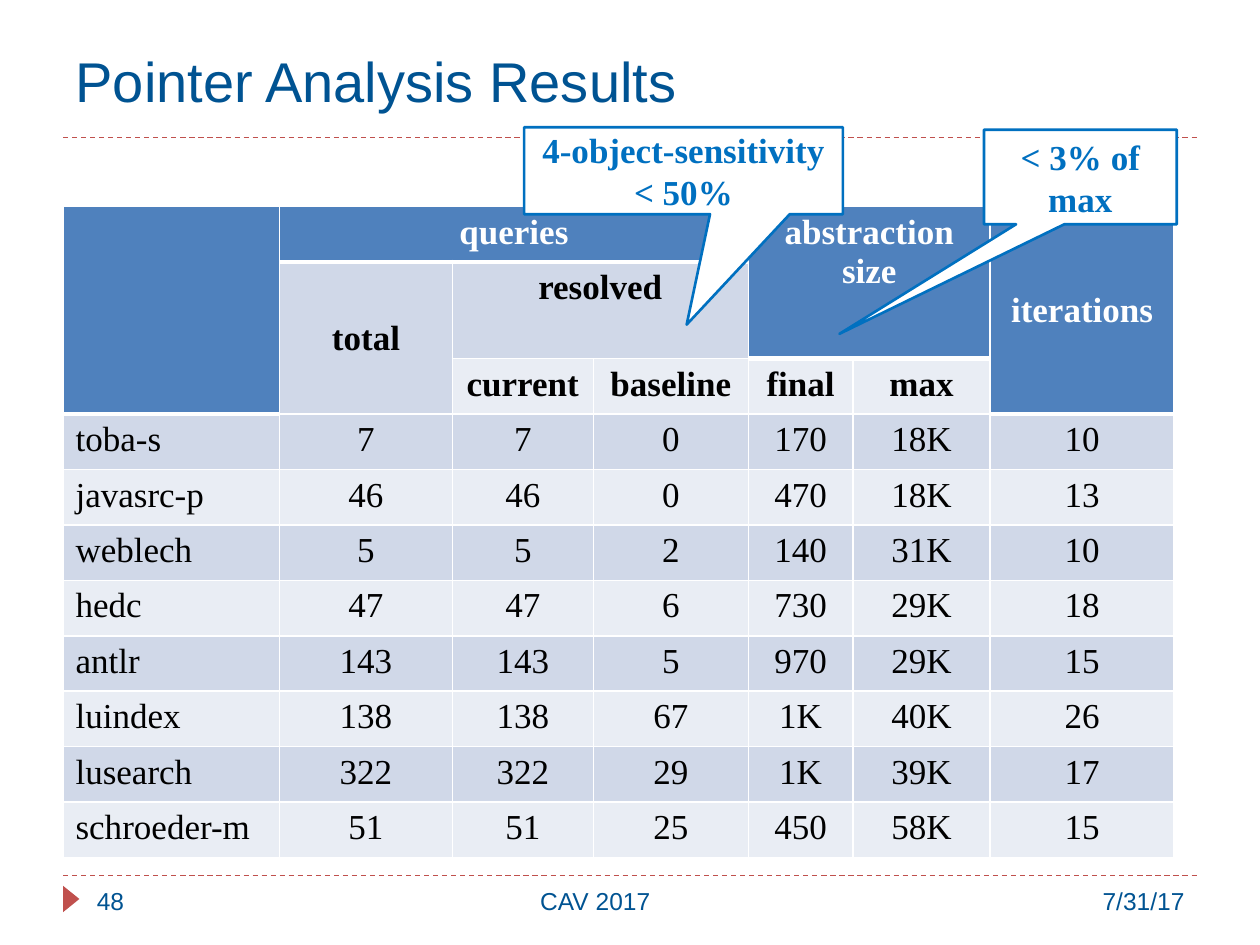
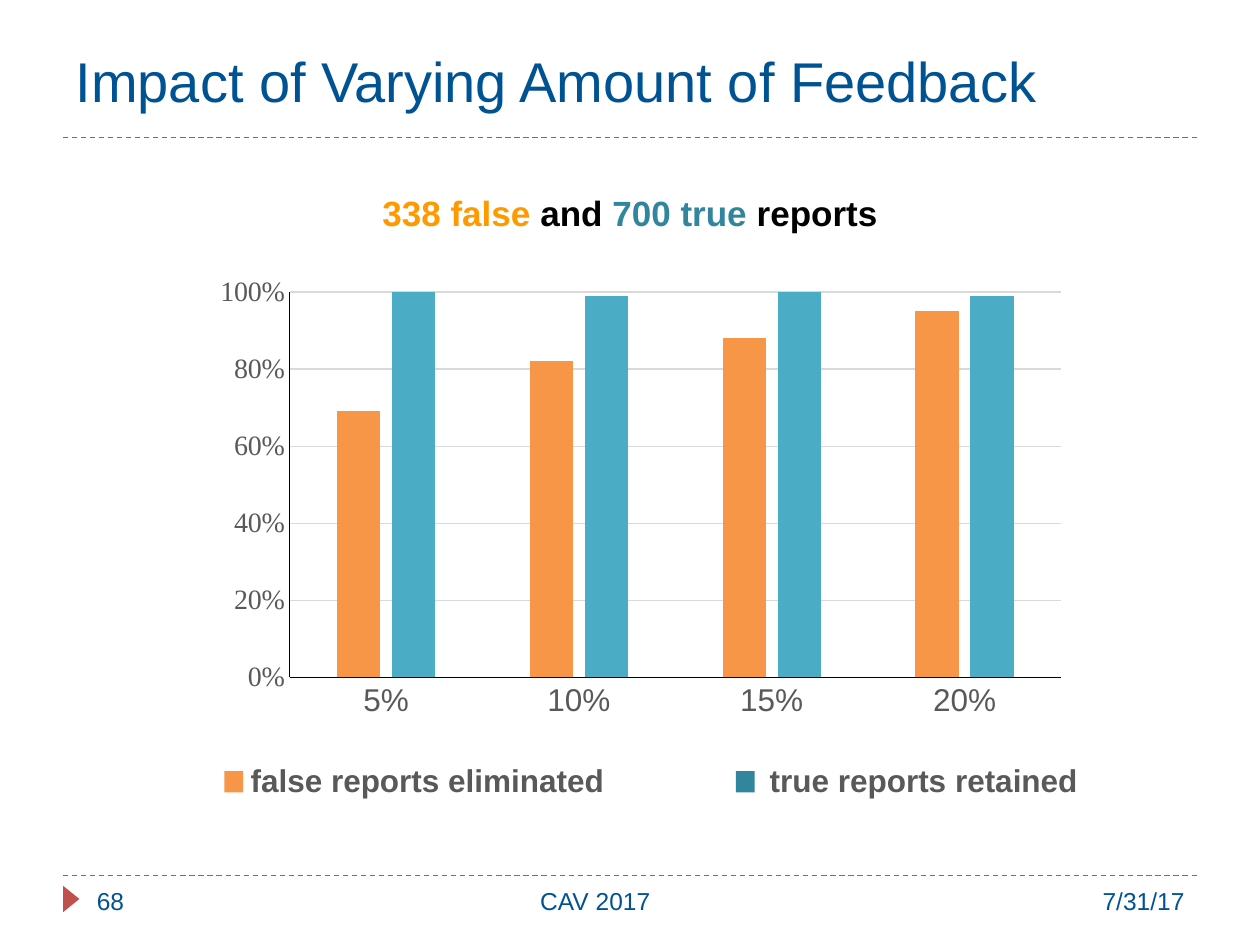
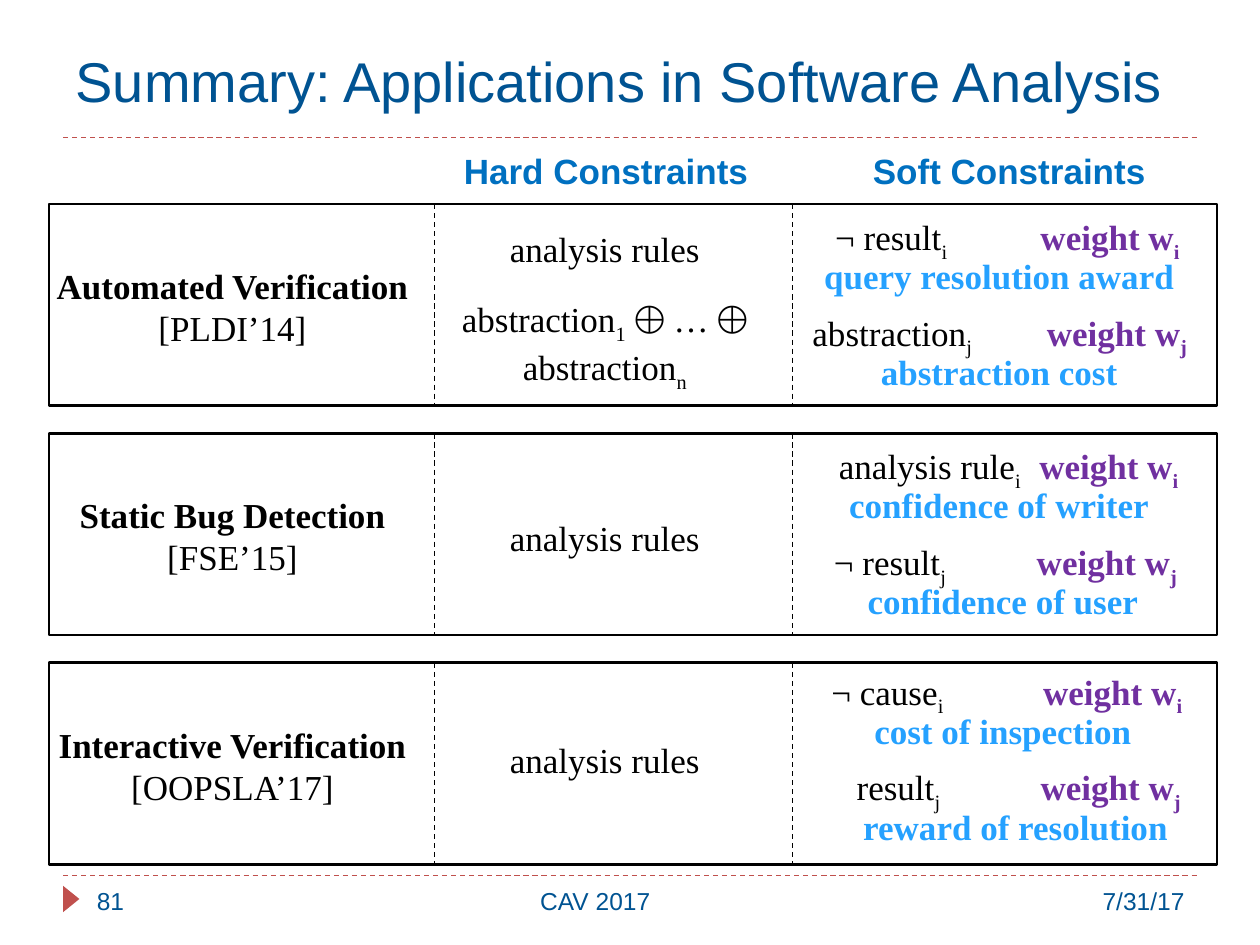
from collections import namedtuple

from lxml import etree
from pptx import Presentation
from pptx.chart.data import CategoryChartData
from pptx.dml.color import RGBColor
from pptx.enum.chart import XL_CHART_TYPE, XL_TICK_MARK
from pptx.enum.dml import MSO_LINE
from pptx.enum.shapes import MSO_CONNECTOR, MSO_SHAPE
from pptx.enum.text import MSO_ANCHOR, MSO_AUTO_SIZE, PP_ALIGN
from pptx.oxml.ns import qn
from pptx.util import Inches, Pt

SANS, SERIF = "Arial", "Times New Roman"
BLACK = RGBColor(0x00, 0x00, 0x00)
WHITE = RGBColor(0xFF, 0xFF, 0xFF)
NAVY = RGBColor(0x00, 0x53, 0x92)
RED = RGBColor(0xC0, 0x50, 0x4D)
BLUE = RGBColor(0x00, 0x70, 0xC0)
SKY = RGBColor(0x25, 0xA1, 0xFF)
PURPLE = RGBColor(0x70, 0x30, 0xA0)
HEADER_BLUE = RGBColor(0x4F, 0x81, 0xBD)
BAND_DARK = RGBColor(0xD0, 0xD8, 0xE8)
BAND_LIGHT = RGBColor(0xE9, 0xED, 0xF4)
GRAY = RGBColor(0x59, 0x59, 0x59)
GRID_GRAY = RGBColor(0xD9, 0xD9, 0xD9)
ORANGE = RGBColor(0xF7, 0x96, 0x46)
AMBER = RGBColor(0xFF, 0x99, 0x00)
AQUA = RGBColor(0x4B, 0xAC, 0xC6)
TEAL = RGBColor(0x31, 0x85, 0x9C)

LEFT, CENTER, RIGHT = PP_ALIGN.LEFT, PP_ALIGN.CENTER, PP_ALIGN.RIGHT


# ---------- shared parts ----------

def inches(box):
    return [Inches(v) for v in box]


def add_run(p, text, size=20, color=BLACK, bold=False, font=SERIF, subscript=False):
    r = p.add_run()
    r.text = text
    r.font.size, r.font.bold, r.font.name = Pt(size), bold, font
    r.font.color.rgb = color
    if subscript:
        r.font._element.set("baseline", "-25000")


def add_text_box(slide, box, align=LEFT):
    """Add a wrapping text box and return its text frame."""
    tf = slide.shapes.add_textbox(*inches(box)).text_frame
    tf.word_wrap = True
    tf.paragraphs[0].alignment = align
    return tf


def add_label(slide, box, text, align=LEFT, **style):
    add_run(add_text_box(slide, box, align).paragraphs[0], text, **style)


def add_box(slide, shape_type, box, fill, line=None):
    sp = slide.shapes.add_shape(shape_type, *inches(box))
    sp.shadow.inherit = False
    sp.fill.solid()
    sp.fill.fore_color.rgb = fill
    if line is None:
        sp.line.fill.background()
    else:
        sp.line.color.rgb = line
        sp.line.width = Pt(1.5)
    return sp


def add_dashed_line(slide, x1, y1, x2, y2, color):
    line = slide.shapes.add_connector(MSO_CONNECTOR.STRAIGHT, *inches((x1, y1, x2, y2)))
    line.line.color.rgb = color
    line.line.width = Pt(0.75)
    line.line.dash_style = MSO_LINE.DASH
    etree.SubElement(line.element.spPr, qn("a:effectLst"))
    return line


def decorate_layout(layout, slide):
    """Place the title box, rules and page marker on the layout, drawn by way of a slide."""
    title = layout.placeholders[0]
    title.left, title.top, title.width, title.height = inches((0.5, 0.17, 9, 0.93))
    marker = add_box(slide, MSO_SHAPE.ISOSCELES_TRIANGLE, (0.46, 7.07, 0.21, 0.13), RED)
    marker.rotation = 90
    rules = [add_dashed_line(slide, 0.5, y, 9.5, y, RED) for y in (6.95, 1.09)]
    for sp in (*rules, marker):
        layout.shapes.element.append(sp.element)


def fill_frame(slide, title, number):
    """Write the title and the three footer texts."""
    tf = slide.shapes.title.text_frame
    tf.auto_size = MSO_AUTO_SIZE.NONE
    tf.vertical_anchor = MSO_ANCHOR.MIDDLE
    tf.paragraphs[0].alignment = LEFT
    add_run(tf.paragraphs[0], title, 32, NAVY, font=SANS)
    for left, width, text, align in ((0.67, 0.89, number, LEFT),
                                     (1.56, 6.33, "CAV 2017", CENTER),
                                     (7, 2.5, "7/31/17", RIGHT)):
        add_label(slide, (left, 6.98, width, 0.4), text, align,
                  size=14, color=NAVY, font=SANS)


# ---------- pointer analysis results ----------

COLUMN_WIDTHS = (1.72, 1.37, 1.12, 1.23, 0.83, 1.09, 1.46)
ROW_HEIGHT = 0.44
HEADER_ROWS = 3

# first row, first column, last row, last column, text, fill, text colour, anchor
HEADERS = (
    (0, 0, 2, 0, "", HEADER_BLUE, WHITE, MSO_ANCHOR.TOP),
    (0, 1, 0, 3, "queries", HEADER_BLUE, WHITE, MSO_ANCHOR.TOP),
    (0, 4, 1, 5, "abstraction size", HEADER_BLUE, WHITE, MSO_ANCHOR.TOP),
    (0, 6, 2, 6, "iterations", HEADER_BLUE, WHITE, MSO_ANCHOR.MIDDLE),
    (1, 1, 2, 1, "total", BAND_DARK, BLACK, MSO_ANCHOR.MIDDLE),
    (1, 2, 1, 3, "resolved", BAND_DARK, BLACK, MSO_ANCHOR.TOP),
    (2, 2, 2, 2, "current", BAND_LIGHT, BLACK, MSO_ANCHOR.TOP),
    (2, 3, 2, 3, "baseline", BAND_LIGHT, BLACK, MSO_ANCHOR.TOP),
    (2, 4, 2, 4, "final", BAND_LIGHT, BLACK, MSO_ANCHOR.TOP),
    (2, 5, 2, 5, "max", BAND_LIGHT, BLACK, MSO_ANCHOR.TOP),
)

RESULTS = (
    ("toba-s", "7", "7", "0", "170", "18K", "10"),
    ("javasrc-p", "46", "46", "0", "470", "18K", "13"),
    ("weblech", "5", "5", "2", "140", "31K", "10"),
    ("hedc", "47", "47", "6", "730", "29K", "18"),
    ("antlr", "143", "143", "5", "970", "29K", "15"),
    ("luindex", "138", "138", "67", "1K", "40K", "26"),
    ("lusearch", "322", "322", "29", "1K", "39K", "17"),
    ("schroeder-m", "51", "51", "25", "450", "58K", "15"),
)


def style_cell(cell, fill, bottom=1):
    """Give a cell white borders and a solid fill."""
    tcPr = cell._tc.get_or_add_tcPr()
    for side, width in (("L", 1), ("R", 1), ("B", bottom)):
        ln = etree.SubElement(tcPr, qn(f"a:ln{side}"), w=str(Pt(width)))
        solid = etree.SubElement(ln, qn("a:solidFill"))
        etree.SubElement(solid, qn("a:srgbClr"), val=str(WHITE))
    cell.fill.solid()
    cell.fill.fore_color.rgb = fill


def write_cell(cell, text, align, **style):
    p = cell.text_frame.paragraphs[0]
    p.alignment = align
    if text:
        add_run(p, text, **style)


def add_results_table(slide, left, top):
    rows = HEADER_ROWS + len(RESULTS)
    box = (left, top, sum(COLUMN_WIDTHS), rows * ROW_HEIGHT)
    table = slide.shapes.add_table(rows, len(COLUMN_WIDTHS), *inches(box)).table
    for column, width in zip(table.columns, COLUMN_WIDTHS):
        column.width = Inches(width)
    for row in table.rows:
        row.height = Inches(ROW_HEIGHT)

    for r1, c1, r2, c2, text, fill, color, anchor in HEADERS:
        for i in range(r1, r2 + 1):
            for j in range(c1, c2 + 1):
                style_cell(table.cell(i, j), fill, 3 if fill == HEADER_BLUE else 1)
        cell = table.cell(r1, c1)
        if (r1, c1) != (r2, c2):
            cell.merge(table.cell(r2, c2))
        cell.vertical_anchor = anchor
        write_cell(cell, text, CENTER, color=color, bold=True)

    for i, values in enumerate(RESULTS):
        for j, value in enumerate(values):
            cell = table.cell(HEADER_ROWS + i, j)
            style_cell(cell, BAND_LIGHT if i % 2 else BAND_DARK)
            write_cell(cell, value, CENTER if j else LEFT)


def add_callout(slide, box, tip, text):
    sp = add_box(slide, MSO_SHAPE.RECTANGULAR_CALLOUT, box, WHITE, BLUE)
    sp.adjustments[0], sp.adjustments[1] = tip
    tf = sp.text_frame
    tf.word_wrap = True
    tf.vertical_anchor = MSO_ANCHOR.MIDDLE
    tf.paragraphs[0].alignment = CENTER
    add_run(tf.paragraphs[0], text, color=BLUE, bold=True)


def build_results(slide):
    fill_frame(slide, "Pointer Analysis Results", "48")
    add_results_table(slide, 0.5, 1.64)
    add_callout(slide, (4.16, 1.01, 2.53, 0.69), (0.01, 1.77), "4-object-sensitivity < 50%")
    add_callout(slide, (7.81, 1.03, 1.53, 0.75), (-1.25, 1.66), "< 3% of max")


# ---------- impact of feedback ----------

def style_axis(axis, size, font):
    axis.major_tick_mark = axis.minor_tick_mark = XL_TICK_MARK.NONE
    axis.format.line.color.rgb = BLACK
    axis.format.line.width = Pt(0.75)
    labels = axis.tick_labels
    labels.number_format, labels.number_format_is_linked = "0%", False
    labels.font.size, labels.font.name = Pt(size), font
    labels.font.color.rgb = GRAY


def add_feedback_chart(slide, box):
    data = CategoryChartData(number_format="0%")
    data.categories = (0.05, 0.1, 0.15, 0.2)
    data.categories.number_format = "0%"
    data.add_series("Series 1", (0.69, 0.82, 0.88, 0.95))
    data.add_series("Series 2", (1, 0.99, 1, 0.99))
    chart = slide.shapes.add_chart(XL_CHART_TYPE.COLUMN_CLUSTERED, *inches(box), data).chart
    chart.has_legend = chart.has_title = False
    chart.font.size, chart.font.name = Pt(10), SERIF
    chart.font.color.rgb = BLACK

    plot = chart.plots[0]
    plot.gap_width, plot.overlap, plot.vary_by_categories = 219, -27, False
    for series, color in zip(plot.series, (ORANGE, AQUA)):
        series.format.fill.solid()
        series.format.fill.fore_color.rgb = color

    style_axis(chart.category_axis, 18, SANS)
    axis = chart.value_axis
    style_axis(axis, 16, SERIF)
    axis.minimum_scale, axis.maximum_scale, axis.major_unit = 0, 1, 0.2
    axis.major_gridlines.format.line.color.rgb = GRID_GRAY
    axis.major_gridlines.format.line.width = Pt(0.75)


def add_legend_entry(slide, box, label_offset, color, text):
    left, top, width, height = box
    add_box(slide, MSO_SHAPE.RECTANGLE, (left, top + 0.13, 0.15, 0.17), color)
    add_label(slide, (left + label_offset, top, width - label_offset, height), text,
              size=18, color=GRAY, bold=True, font=SANS)


def build_feedback(slide):
    fill_frame(slide, "Impact of Varying Amount of Feedback", "68")
    add_feedback_chart(slide, (1.61, 2.12, 6.95, 3.65))
    p = add_text_box(slide, (2.01, 1.47, 5.98, 0.44), CENTER).paragraphs[0]
    for text, color in (("338 false ", AMBER), ("and ", BLACK),
                        ("700 true ", TEAL), ("reports", BLACK)):
        add_run(p, text, color=color, bold=True, font=SANS)
    add_legend_entry(slide, (1.78, 5.99, 3.9, 0.4), 0.11, ORANGE, "false reports eliminated")
    add_legend_entry(slide, (5.84, 5.99, 3.02, 0.4), 0.17, TEAL, "true reports retained")


# ---------- summary of applications ----------

# left, weight_left and center are measured from the left side of the row
Soft = namedtuple("Soft", "term index left weight_left caption center")
Application = namedtuple("Application", "name venue choices hard_top soft_top soft")

APPLICATIONS = (
    Application("Automated Verification", "[PLDI’14]", True, 0.14, 0.04, (
        Soft("¬ result", "i", 6.24, 7.87, "query resolution award", 7.54),
        Soft("abstraction", "j", 6.06, 7.92, "abstraction cost", 7.54))),
    Application("Static Bug Detection", "[FSE’15]", False, 0.61, 0.04, (
        Soft("analysis rule", "i", 6.27, 7.86, "confidence of writer", 7.54),
        Soft("¬ result", "j", 6.23, 7.84, "confidence of user", 7.57))),
    Application("Interactive Verification", "[OOPSLA’17]", False, 0.55, 0.01, (
        Soft("¬ cause", "i", 6.21, 7.89, "cost of inspection", 7.57),
        Soft("result", "j", 6.41, 7.87, "reward of resolution", 7.67))),
)


def add_hard_constraints(slide, left, top, has_choices):
    tf = add_text_box(slide, (left, top, 2.84, 1.38 if has_choices else 0.44), CENTER)
    add_run(tf.paragraphs[0], "analysis rules")
    if has_choices:
        p = tf.add_paragraph()
        p.alignment, p.space_before = CENTER, Pt(16)
        add_run(p, "abstraction")
        add_run(p, "1", subscript=True)
        add_run(p, " ⨁ … ⨁")
        p = tf.add_paragraph()
        p.alignment = CENTER
        add_run(p, "abstraction")
        add_run(p, "n", subscript=True)


def add_soft_constraint(slide, left, top, soft):
    """Write a term with its weight at a tab stop, and the caption below."""
    tf = add_text_box(slide, (left + soft.left - 0.1, top, 9.4 - soft.left, 0.44))
    p = tf.paragraphs[0]
    tabs = etree.SubElement(p._p.get_or_add_pPr(), qn("a:tabLst"))
    etree.SubElement(tabs, qn("a:tab"), pos=str(Inches(soft.weight_left - soft.left)), algn="l")
    add_run(p, soft.term)
    add_run(p, soft.index, subscript=True)
    add_run(p, "\tweight w", color=PURPLE, bold=True)
    add_run(p, soft.index, color=PURPLE, bold=True, subscript=True)
    add_label(slide, (left + soft.center - 1.7, top + 0.31, 3.4, 0.44), soft.caption, CENTER,
              color=SKY, bold=True)


def add_application(slide, box, app):
    left, top, width, height = box
    add_box(slide, MSO_SHAPE.RECTANGLE, box, WHITE, BLACK)
    for x in (left + 3.06, left + 5.9):
        add_dashed_line(slide, x, top, x, top + height, BLACK)

    tf = add_text_box(slide, (left - 0.24, top + 0.43, 3.39, 0.77), CENTER)
    add_run(tf.paragraphs[0], app.name, bold=True)
    p = tf.add_paragraph()
    p.alignment = CENTER
    add_run(p, app.venue)

    add_hard_constraints(slide, left + 2.99, top + app.hard_top, app.choices)
    for i, soft in enumerate(app.soft):
        add_soft_constraint(slide, left, top + app.soft_top + 0.76 * i, soft)


def build_summary(slide):
    fill_frame(slide, "Summary: Applications in Software Analysis", "81")
    for left, text in ((3.57, "Hard Constraints"), (6.77, "Soft Constraints")):
        add_label(slide, (left, 1.14, 2.48, 0.44), text, CENTER,
                  color=BLUE, bold=True, font=SANS)
    for i, app in enumerate(APPLICATIONS):
        add_application(slide, (0.39, 1.62 + 1.82 * i, 9.27, 1.6), app)


def main():
    prs = Presentation()
    prs.slide_width, prs.slide_height = Inches(10), Inches(7.5)
    layout = prs.slide_layouts[5]
    slides = [prs.slides.add_slide(layout) for _ in range(3)]
    decorate_layout(layout, slides[0])
    for build, slide in zip((build_results, build_feedback, build_summary), slides):
        build(slide)
    prs.save("out.pptx")


if __name__ == "__main__":
    main()
